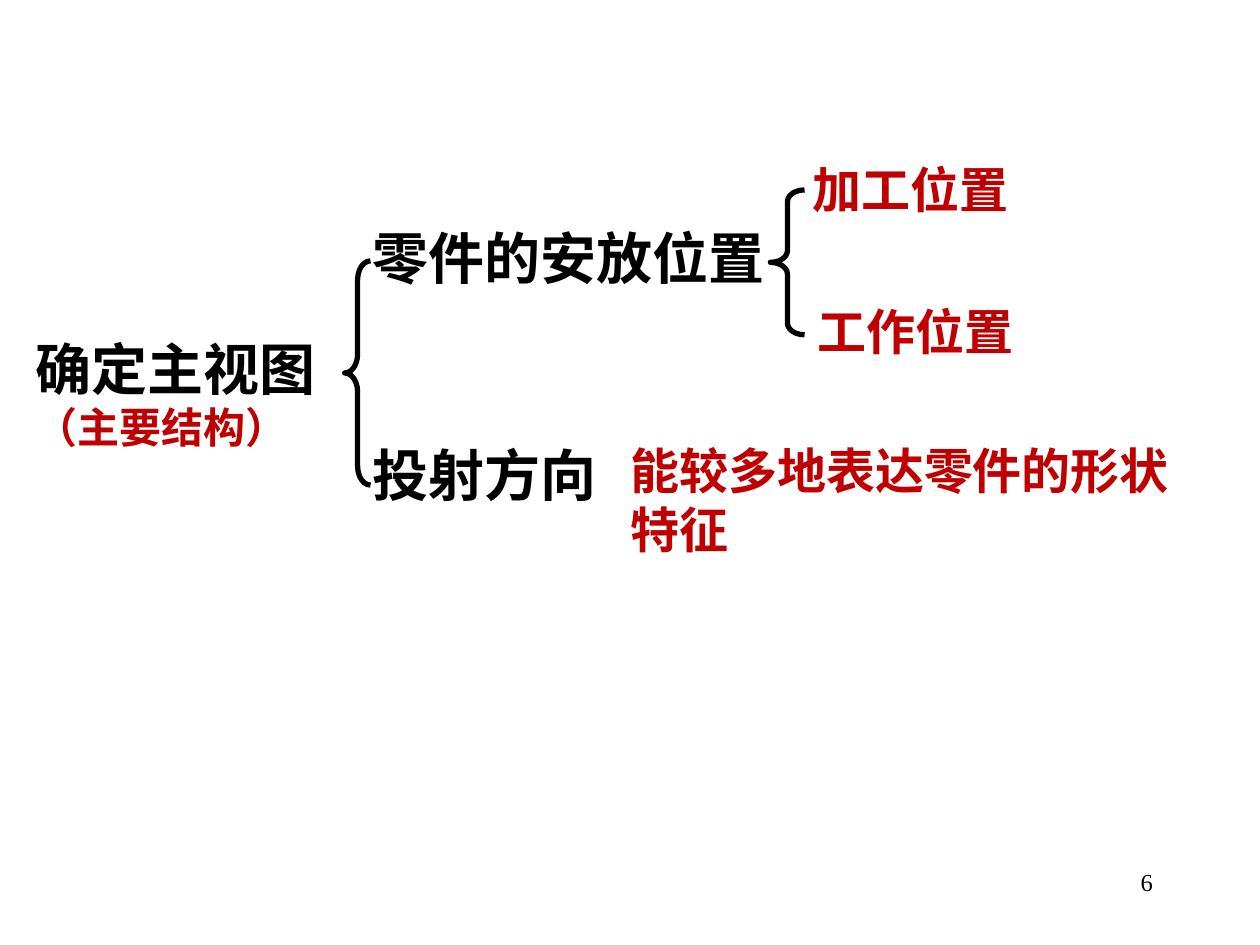
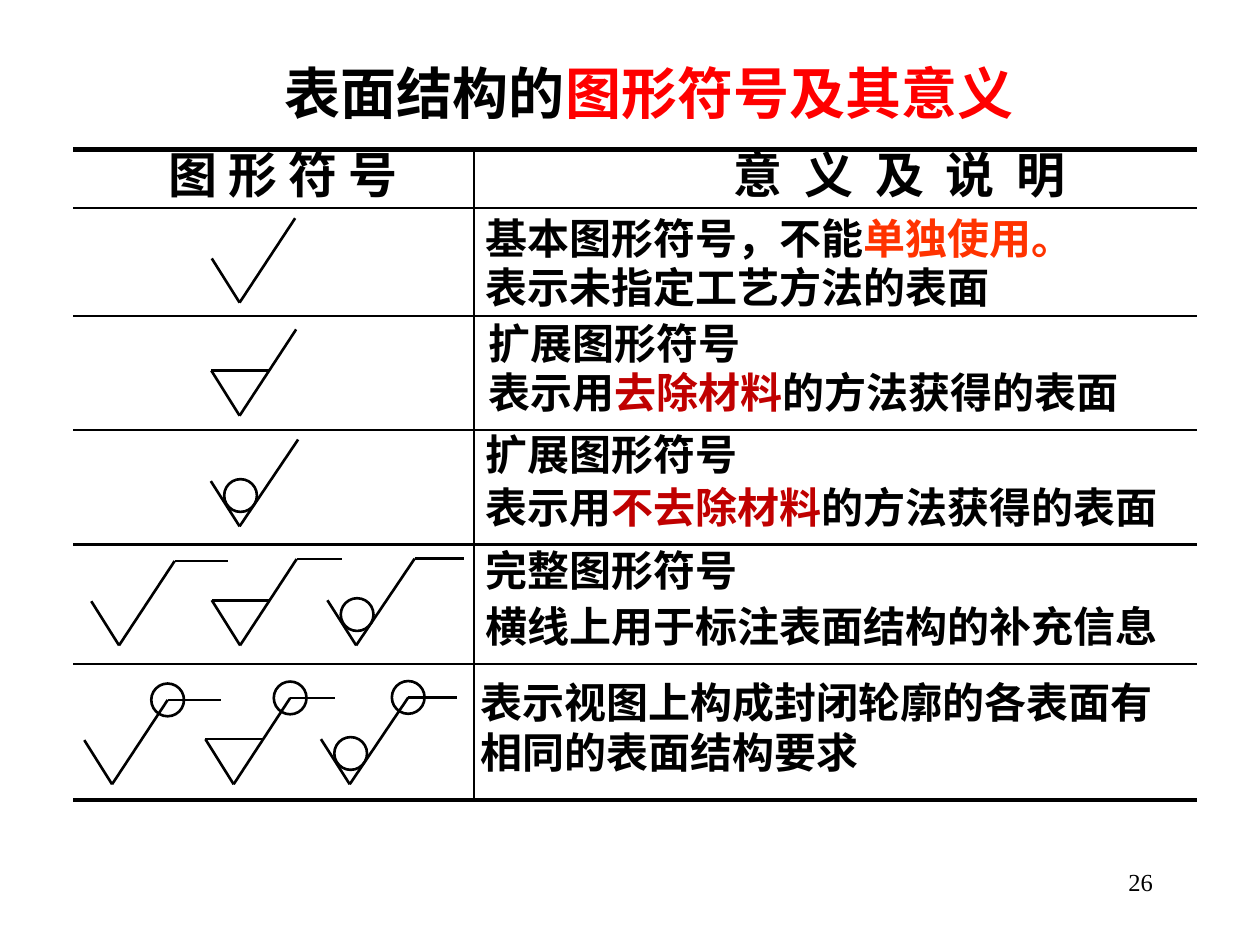
from dataclasses import dataclass
from itertools import pairwise

from lxml import etree
from pptx import Presentation
from pptx.dml.color import RGBColor
from pptx.enum.shapes import MSO_CONNECTOR, MSO_SHAPE
from pptx.enum.text import PP_ALIGN
from pptx.oxml.ns import qn
from pptx.util import Cm, Pt

STRAIGHT = MSO_CONNECTOR.STRAIGHT
OVAL, BRACE = MSO_SHAPE.OVAL, MSO_SHAPE.LEFT_BRACE
LEFT, RIGHT = PP_ALIGN.LEFT, PP_ALIGN.RIGHT


@dataclass(frozen=True)
class Theme:
    black: str = "000000"
    deep_red: str = "C00000"
    red: str = "FF0000"
    orange: str = "FF3300"
    heading_font: str = "Noto Sans CJK SC"
    body_font: str = "Times New Roman"
    title: int = 32
    label: int = 28
    body: int = 24
    page: int = 14
    thin: float = 1.5
    thick: float = 3


T = Theme()

# A paragraph is a list of runs: (text, size, colour)
# Text: left, top, width, height in cm, then paragraphs
VIEW_TEXTS = [
    (0.46, 6.62, 7.16, 2.64, [[("确定主视图", T.title, T.black)],
                              [("（主要结构）", T.body, T.deep_red)]]),
    (7.26, 4.39, 8.7, 1.63, [[("零件的安放位置", T.title, T.black)]]),
    (7.26, 8.76, 5.56, 1.63, [[("投射方向", T.title, T.black)]]),
    (16.13, 3.1, 8, 1.45, [[("加工位置", T.label, T.deep_red)]]),
    (16.24, 5.95, 8, 1.45, [[("工作位置", T.label, T.deep_red)]]),
    (12.46, 8.76, 12.29, 2.64,
     [[("能较多地表达零件的形状特征", T.label, T.deep_red)]]),
]
# Brace: left, top, width, height in cm, then curl
VIEW_BRACES = [(15.53, 3.83, 0.69, 2.92, 0.34), (6.95, 5.26, 0.52, 4.52, 0.73)]

SYMBOL_TITLE = [("表面结构的", T.title, T.black),
                ("图形符号及其意义", T.title, T.red)]
# Header: text, left margin in cm, letter spacing in pt
HEADERS = [("图 形 符 号", 1.92, 0), ("意 义 及 说 明", 5.24, 3.1)]
HEADER_TOP = 0.18
# Meaning: left and top margin in cm, line pitch and gap in pt, paragraphs
MEANINGS = [
    (0.23, 0.19, 28, 0.5, [[("基本图形符号，不能", T.body, T.black),
                            ("单独使用。", T.body, T.orange)],
                           [("表示未指定工艺方法的表面", T.body, T.black)]]),
    (0.3, 0.12, 28, 0, [[("扩展图形符号", T.body, T.black)],
                        [("表示用", T.body, T.black),
                         ("去除材料", T.body, T.deep_red),
                         ("的方法获得的表面", T.body, T.black)]]),
    (0.23, 0.07, 28, 2.25, [[("扩展图形符号", T.body, T.black)],
                            [("表示用", T.body, T.black),
                             ("不去除材料", T.body, T.deep_red),
                             ("的方法获得的表面", T.body, T.black)]]),
    (0.23, 0.1, 28, 4,
     [[("完整图形符号", T.body, T.black)],
      [("横线上用于标注表面结构的补充信息", T.body, T.black)]]),
    (0.13, 0.33, 28.8, 0,
     [[("表示视图上构成封闭轮廓的各表面有相同的表面结构要求",
        T.body, T.black)]]),
]
TABLE_LEFT, TABLE_TOP = 1.48, 3.02
COLUMN_WIDTHS = [8.07, 14.57]
ROW_HEIGHTS = [1.17, 2.18, 2.29, 2.31, 2.41, 2.74]

# Offsets from the vertex of a surface symbol, in cm: tick, tip, arm length
KINDS = {
    "basic": ((-0.56, -0.89), (1.12, -1.7), 1.07),
    "removed": ((-0.57, -0.91), (1.14, -1.74), 0.91),
    "kept": ((-0.58, -0.91), (1.18, -1.75), 0.99),
}
RING, BAR, RING_SIZE = (0.02, -0.62), 1.16, 0.66
SINGLE_X, SINGLE_Y = 4.83, [6.1, 8.38, 10.61]
# Symbol sets with an arm: vertex xs, vertex y, closed contour
SYMBOL_SETS = [([2.4, 4.84, 7.18], 13.01, False),
               ([2.26, 4.71, 7.05], 15.81, True)]


def add_run(p, text, size, color, font, bold=True, spacing=0):
    r = p.add_run()
    r.text = text
    r.font.size, r.font.bold, r.font.name = Pt(size), bold, font
    r.font.color.rgb = RGBColor.from_string(color)
    rPr = r.font._element
    etree.SubElement(rPr, qn("a:ea")).set("typeface", T.heading_font)
    if spacing:
        rPr.set("spc", str(round(spacing * 100)))


def fill_frame(tf, paragraphs, font, pitch=None, gap=0, align=LEFT, bold=True):
    tf.word_wrap = True
    for i, runs in enumerate(paragraphs):
        p = tf.add_paragraph() if i else tf.paragraphs[0]
        p.alignment = align
        if pitch:
            p.line_spacing = Pt(pitch)
        if i and gap:
            p.space_before = Pt(gap)
        for run in runs:
            add_run(p, *run[:3], font, bold, *run[3:])


def add_text(s, left, top, width, height, paragraphs,
             font=T.heading_font, **options):
    sp = s.shapes.add_textbox(Cm(left), Cm(top), Cm(width), Cm(height))
    fill_frame(sp.text_frame, paragraphs, font, **options)


def add_page_number(s, number):
    add_text(s, 18.21, 17.35, 5.28, 1.27, [[(str(number), T.page, T.black)]],
             T.body_font, align=RIGHT, bold=False)


def outline(sp, width):
    sp.shadow.inherit = False
    sp.fill.background()
    sp.line.color.rgb = RGBColor.from_string(T.black)
    sp.line.width = Pt(width)


def add_circle(s, x, y):
    half = RING_SIZE / 2
    sp = s.shapes.add_shape(OVAL, Cm(x - half), Cm(y - half),
                            Cm(RING_SIZE), Cm(RING_SIZE))
    outline(sp, T.thin)


def add_stroke(s, start, end):
    stroke = s.shapes.add_connector(STRAIGHT, *map(Cm, start + end))
    stroke.line.color.rgb = RGBColor.from_string(T.black)
    stroke.line.width = Pt(T.thin)
    etree.SubElement(stroke._element.spPr, qn("a:effectLst"))


def add_symbol(s, kind, x, y, arm=False, closed=False):
    """Draw a surface texture symbol whose lower vertex is at x, y."""
    tick, tip, arm_length = KINDS[kind]
    offsets = [tick, (0, 0), tip]
    if arm:
        offsets.append((tip[0] + arm_length, tip[1]))
    points = [(x + dx, y + dy) for dx, dy in offsets]
    for start, end in pairwise(points):
        add_stroke(s, start, end)

    if kind == "removed":
        left, level = points[0]
        add_stroke(s, (left, level), (left + BAR, level))
    elif kind == "kept":
        add_circle(s, x + RING[0], y + RING[1])
    if closed:
        add_circle(s, *points[2])


def set_borders(cell, **widths):
    """Set borders by side (L, R, T, B) in points; 0 hides one."""
    tcPr = cell._tc.get_or_add_tcPr()
    for i, side in enumerate("LRTB"):
        ln = etree.Element(qn(f"a:ln{side}"))
        width = widths[side]
        if width:
            ln.set("w", str(Pt(width)))
            fill = etree.SubElement(ln, qn("a:solidFill"))
            etree.SubElement(fill, qn("a:srgbClr")).set("val", T.black)
        else:
            etree.SubElement(ln, qn("a:noFill"))
        tcPr.insert(i, ln)


def add_symbol_table(s):
    rows, cols = len(ROW_HEIGHTS), len(COLUMN_WIDTHS)
    table = s.shapes.add_table(rows, cols, Cm(TABLE_LEFT), Cm(TABLE_TOP),
                               Cm(sum(COLUMN_WIDTHS)),
                               Cm(sum(ROW_HEIGHTS))).table
    table.first_row = table.horz_banding = False
    for column, width in zip(table.columns, COLUMN_WIDTHS):
        column.width = Cm(width)
    for i, height in enumerate(ROW_HEIGHTS):
        table.rows[i].height = Cm(height)
        for j in range(cols):
            cell = table.cell(i, j)
            cell.fill.background()
            cell.margin_right = Cm(0.2)
            cell.margin_top = cell.margin_bottom = 0
            set_borders(cell,
                        L=T.thin if j else 0,
                        R=0 if j else T.thin,
                        T=T.thin if i else T.thick,
                        B=T.thick if i == rows - 1 else T.thin)

    for j, (text, left, spacing) in enumerate(HEADERS):
        cell = table.cell(0, j)
        cell.margin_left, cell.margin_top = Cm(left), Cm(HEADER_TOP)
        fill_frame(cell.text_frame, [[(text, T.label, T.black, spacing)]],
                   T.heading_font, T.label)
    for i, (left, top, pitch, gap, paragraphs) in enumerate(MEANINGS, 1):
        cell = table.cell(i, 1)
        cell.margin_left, cell.margin_top = Cm(left), Cm(top)
        fill_frame(cell.text_frame, paragraphs, T.body_font, pitch, gap)


def build_view_slide(s):
    for text in VIEW_TEXTS:
        add_text(s, *text)
    for *box, curl in VIEW_BRACES:
        sp = s.shapes.add_shape(BRACE, *map(Cm, box))
        sp.adjustments[0] = curl
        outline(sp, T.thick)
    add_page_number(s, 6)


def build_symbol_slide(s):
    add_text(s, 5.49, 1.05, 15.5, 1.63, [SYMBOL_TITLE])
    add_symbol_table(s)
    for kind, y in zip(KINDS, SINGLE_Y):
        add_symbol(s, kind, SINGLE_X, y)
    for xs, y, closed in SYMBOL_SETS:
        for kind, x in zip(KINDS, xs):
            add_symbol(s, kind, x, y, arm=True, closed=closed)
    add_page_number(s, 26)


def main():
    prs = Presentation()
    prs.slide_width, prs.slide_height = Cm(25.4), Cm(19.05)
    for build in (build_view_slide, build_symbol_slide):
        build(prs.slides.add_slide(prs.slide_layouts[6]))
    prs.save("out.pptx")


if __name__ == "__main__":
    main()
